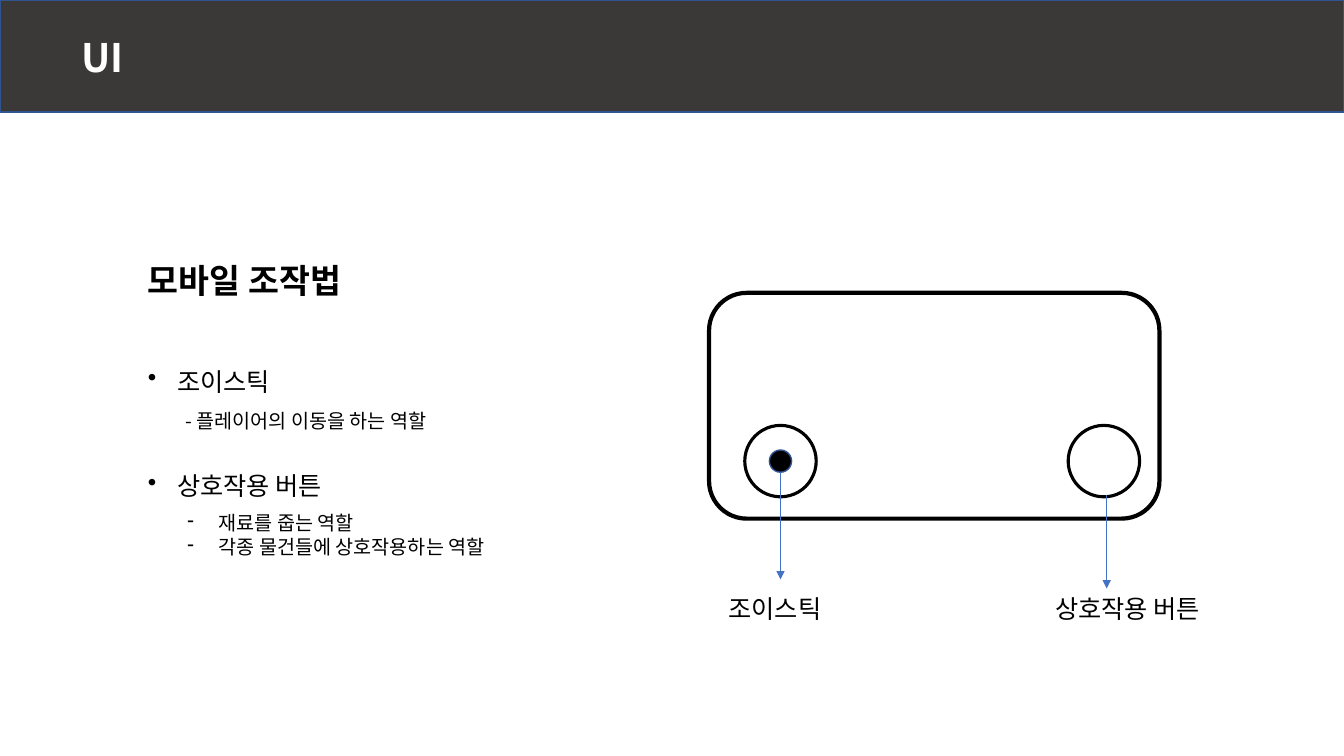
from lxml import etree
from pptx import Presentation
from pptx.dml.color import RGBColor
from pptx.enum import shapes, text
from pptx.oxml import ns
from pptx.util import Cm, Pt

FONT = "Noto Sans CJK KR"
BLACK = RGBColor(0x00, 0x00, 0x00)
WHITE = RGBColor(0xFF, 0xFF, 0xFF)
CHARCOAL = RGBColor(0x3B, 0x38, 0x38)
NAVY = RGBColor(0x32, 0x54, 0x91)
BLUE = RGBColor(0x44, 0x72, 0xC4)


def add_text(page, left, top, width, height, lines, size, bold=False,
             color=BLACK, wrap=False, bullet=None, indent=0):
    box = page.shapes.add_textbox(Cm(left), Cm(top), Cm(width), Cm(height))
    frame = box.text_frame
    frame.text = "\n".join(lines)
    frame.word_wrap = wrap
    frame.auto_size = text.MSO_AUTO_SIZE.SHAPE_TO_FIT_TEXT
    frame.vertical_anchor = text.MSO_ANCHOR.MIDDLE
    for para in frame.paragraphs:
        if bullet:
            properties = para._p.get_or_add_pPr()
            properties.set("marL", str(Cm(indent)))
            properties.set("indent", str(-Cm(indent)))
            etree.SubElement(properties, ns.qn("a:buChar")).set("char", bullet)
        for span in para.runs:
            span.font.name = FONT
            span.font.size = Pt(size)
            span.font.bold = bold
            span.font.color.rgb = color
            east_asian = etree.SubElement(span._r.get_or_add_rPr(), ns.qn("a:ea"))
            east_asian.set("typeface", FONT)


def add_outline(page, kind, left, top, width, height, fill, line, weight):
    shape = page.shapes.add_shape(kind, Cm(left), Cm(top), Cm(width), Cm(height))
    shape.shadow.inherit = False
    if fill is None:
        shape.fill.background()
    else:
        shape.fill.solid()
        shape.fill.fore_color.rgb = fill
    shape.line.color.rgb = line
    shape.line.width = Pt(weight)


def add_down_arrow(page, x, top, bottom):
    arrow = page.shapes.add_connector(
        shapes.MSO_CONNECTOR.STRAIGHT, Cm(x), Cm(top), Cm(x), Cm(bottom))
    arrow.line.color.rgb = BLUE
    arrow.line.width = Pt(0.5)
    etree.SubElement(arrow.line._get_or_add_ln(), ns.qn("a:tailEnd")).set("type", "triangle")
    etree.SubElement(arrow._element.spPr, ns.qn("a:effectLst"))


def add_header(page, left, top, width, height):
    add_outline(page, shapes.MSO_SHAPE.RECTANGLE, left, top, width, height,
                CHARCOAL, NAVY, 1)
    add_text(page, left + 1.8, top + 0.71, 11.76, 1.45, ["UI"], 28,
             bold=True, color=WHITE, wrap=True)


def add_controls_list(page, left, top):
    add_text(page, left, top, 5.94, 1.27, ["모바일 조작법"], 24, bold=True)
    add_text(page, left, top + 2.66, 3.81, 1.02, ["조이스틱"], 18,
             bullet="•", indent=0.74)
    add_text(page, left + 0.94, top + 3.73, 7.39, 0.86,
             ["- 플레이어의 이동을 하는 역할"], 14)
    add_text(page, left, top + 5.3, 5.33, 1.02, ["상호작용 버튼"], 18,
             bullet="•", indent=0.74)
    add_text(page, left + 0.99, top + 6.32, 8.81, 1.45,
             ["재료를 줍는 역할", "각종 물건들에 상호작용하는 역할"], 14,
             bullet="-", indent=0.79)


def add_phone(page, left, top, width, height):
    oval = shapes.MSO_SHAPE.OVAL
    ring, knob = 1.8, 0.56
    ring_top = top + 3.34
    joystick_left = left + 0.9
    button_left = left + 9.05
    inset = (ring - knob) / 2
    joystick_center = joystick_left + ring / 2
    label_top = top + 7.45

    add_outline(page, shapes.MSO_SHAPE.ROUNDED_RECTANGLE, left, top, width, height,
                WHITE, BLACK, 3)
    add_outline(page, oval, joystick_left, ring_top, ring, ring, None, BLACK, 2.25)
    add_outline(page, oval, joystick_left + inset, ring_top + inset, knob, knob,
                BLACK, NAVY, 1)
    add_outline(page, oval, button_left, ring_top, ring, ring, None, BLACK, 2.25)

    add_down_arrow(page, joystick_center, ring_top + inset + knob, label_top - 0.23)
    add_text(page, left + 0.24, label_top, 3.07, 1.02, ["조이스틱"], 18)
    add_down_arrow(page, left + 10.02, ring_top + ring - 0.05, label_top)
    add_text(page, left + 8.47, label_top, 4.6, 1.02, ["상호작용 버튼"], 18)


def main():
    deck = Presentation()
    deck.slide_width = Cm(33.87)
    deck.slide_height = Cm(19.05)
    page = deck.slides.add_slide(deck.slide_layouts[6])
    add_header(page, 0, 0, 33.87, 2.82)
    add_phone(page, 17.87, 7.38, 11.35, 5.69)
    add_controls_list(page, 3.48, 6.43)
    deck.save("out.pptx")


if __name__ == "__main__":
    main()
